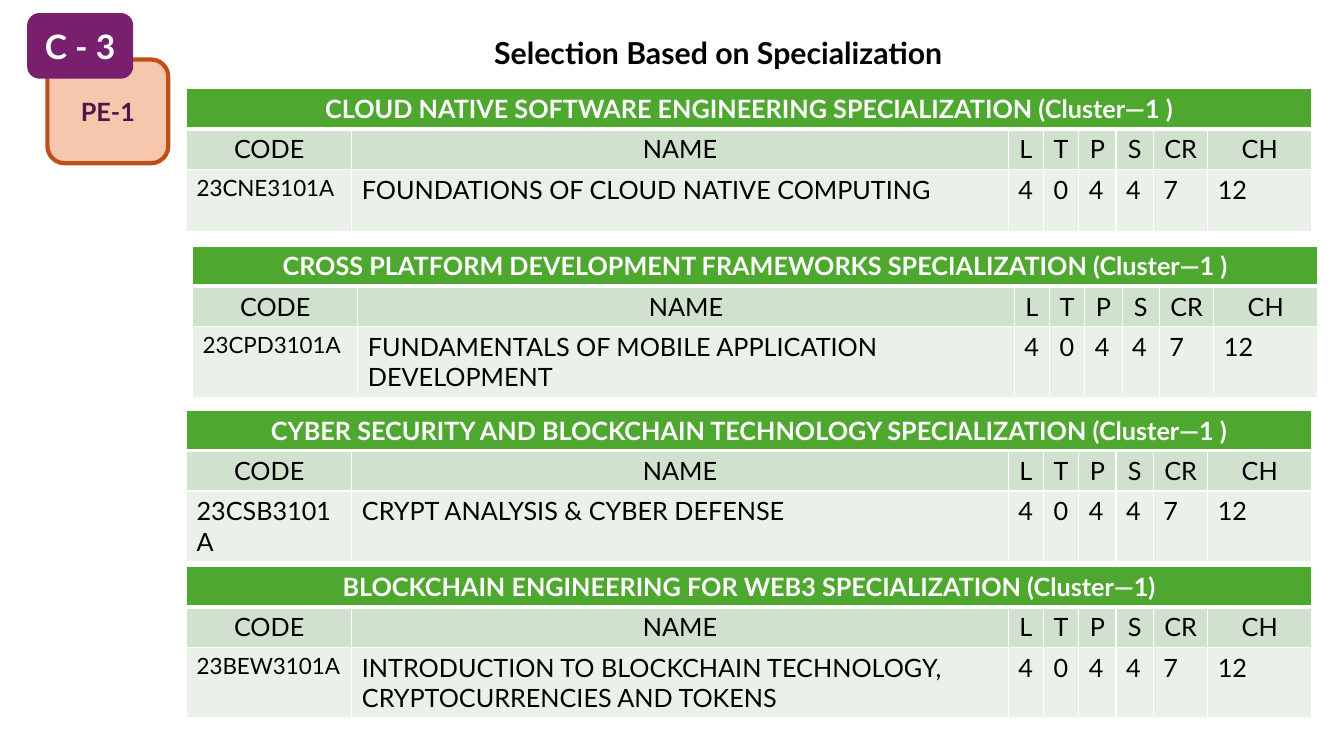
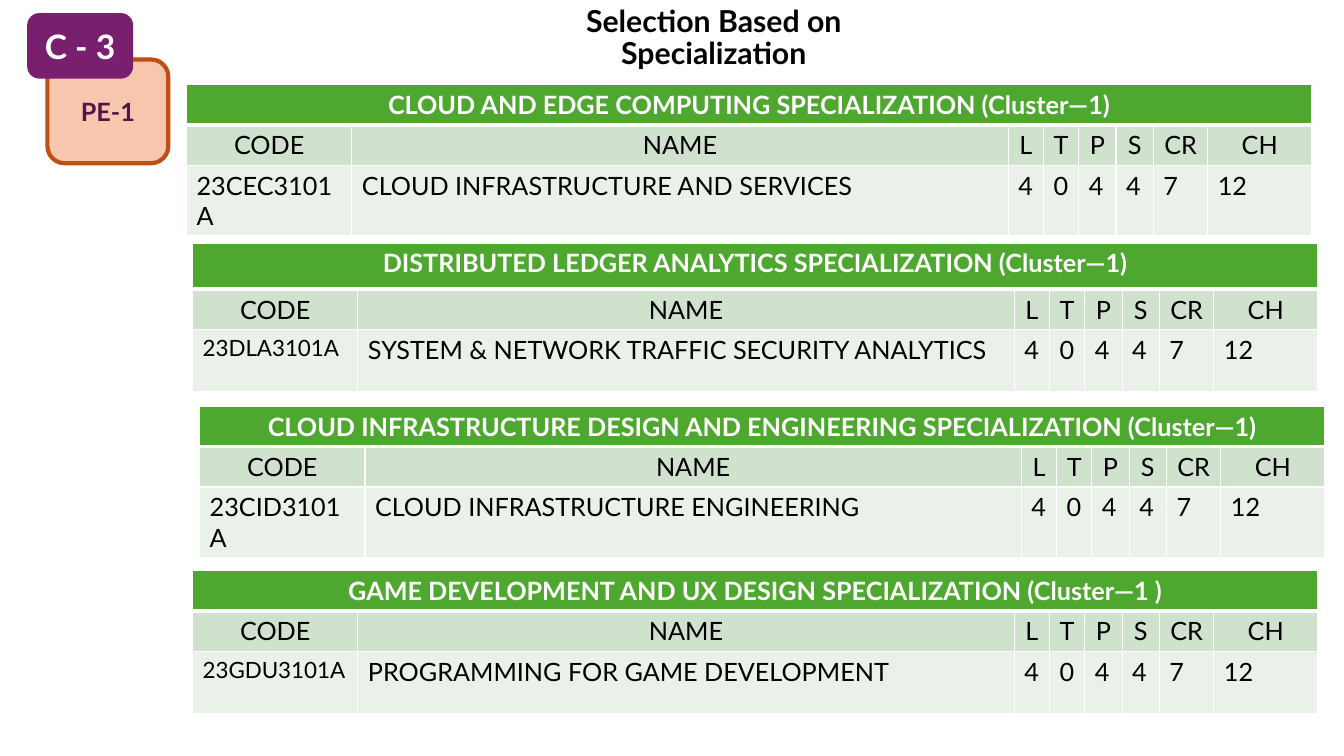
from lxml.etree import SubElement
from pptx import Presentation
from pptx.dml.color import RGBColor
from pptx.enum.shapes import MSO_SHAPE
from pptx.enum.text import MSO_ANCHOR, MSO_AUTO_SIZE, PP_ALIGN
from pptx.oxml.ns import qn
from pptx.util import Inches, Pt

FONT = "Lato"
WHITE, BLACK = "FFFFFF", "000000"
GREEN, SAGE, MIST = "4EA72E", "D0E1CD", "E9F1E8"
TITLE = "Selection Based on Specialization"
BADGES = [  # text, box, fill, line, text colour, size
    ("PE-1", (0.47, 0.59, 1.2, 1.03), "F6C6AD", "C04F15", "501649", 18),
    ("C - 3", (0.29, 0.15, 1.01, 0.61), "78206E", "78206E", WHITE, 24),
]
HEADS = ["CODE", "NAME", "L", "T", "P", "S", "CR", "CH"]
HOURS = ["4", "0", "4", "4", "7", "12"]
COLS = [1.64, 6.51, 0.35, 0.35, 0.37, 0.37, 0.54, 1.03]
ROWS = [0.36, 0.36, 0.62]
SLIDES = [  # title width, then tables: left, top, band height, band, code, code size, name
    (4.69, [
        (1.85, 0.88, 0.36, "CLOUD NATIVE SOFTWARE ENGINEERING SPECIALIZATION (Cluster—1 )",
         "23CNE3101A", 16, "FOUNDATIONS OF CLOUD NATIVE COMPUTING"),
        (1.91, 2.44, 0.36, "CROSS PLATFORM DEVELOPMENT FRAMEWORKS SPECIALIZATION (Cluster—1 )",
         "23CPD3101A", 16, "FUNDAMENTALS OF MOBILE APPLICATION DEVELOPMENT"),
        (1.85, 4.07, 0.36, "CYBER SECURITY AND BLOCKCHAIN TECHNOLOGY SPECIALIZATION (Cluster—1 )",
         "23CSB3101A", 18, "CRYPT ANALYSIS & CYBER DEFENSE"),
        (1.85, 5.62, 0.36, "BLOCKCHAIN ENGINEERING FOR WEB3 SPECIALIZATION (Cluster—1)",
         "23BEW3101A", 16, "INTRODUCTION TO BLOCKCHAIN TECHNOLOGY, CRYPTOCURRENCIES AND TOKENS"),
    ]),
    (4.6, [
        (1.85, 0.84, 0.36, "CLOUD AND EDGE COMPUTING SPECIALIZATION (Cluster—1)",
         "23CEC3101A", 18, "CLOUD INFRASTRUCTURE AND SERVICES"),
        (1.91, 2.41, 0.46, "DISTRIBUTED LEDGER ANALYTICS SPECIALIZATION (Cluster—1)",
         "23DLA3101A", 16, "SYSTEM & NETWORK TRAFFIC SECURITY ANALYTICS"),
        (1.98, 4.03, 0.34, "CLOUD INFRASTRUCTURE DESIGN AND ENGINEERING SPECIALIZATION (Cluster—1)",
         "23CID3101A", 18, "CLOUD INFRASTRUCTURE ENGINEERING"),
        (1.91, 5.66, 0.36, "GAME DEVELOPMENT AND UX DESIGN SPECIALIZATION (Cluster—1 )",
         "23GDU3101A", 16, "PROGRAMMING FOR GAME DEVELOPMENT"),
    ]),
]


def paint(fill, color):
    fill.solid()
    fill.fore_color.rgb = RGBColor.from_string(color)


def write(frame, text, size, color, bold=False, align=PP_ALIGN.CENTER):
    para = frame.paragraphs[0]
    para.alignment = align
    run = para.add_run()
    run.text = text
    look = {"name": FONT, "size": Pt(size), "bold": bold}
    for key, value in look.items():
        setattr(run.font, key, value)
    run.font.color.rgb = RGBColor.from_string(color)
    return para


def place(shape, box):
    for key, value in zip(("left", "top", "width", "height"), box):
        setattr(shape, key, Inches(value))


def edge(cell, **widths):
    """Draw white cell borders; widths override the 1 pt default by side."""
    props = cell._tc.get_or_add_tcPr()
    for side in "LRTB":
        line = SubElement(props, qn(f"a:ln{side}"), w=str(Pt(widths.get(side, 1))))
        fill = SubElement(line, qn("a:solidFill"))
        SubElement(fill, qn("a:srgbClr"), val=WHITE)


def add_title(slide, width):
    title = slide.shapes.title
    place(title, (4.78, 0.15, width, 0.61))
    frame = title.text_frame
    frame.auto_size = MSO_AUTO_SIZE.NONE
    frame.word_wrap = True
    frame.vertical_anchor = MSO_ANCHOR.BOTTOM
    write(frame, TITLE, 21.6, BLACK, True).line_spacing = 0.9


def add_badge(slide, text, box, fill, line, color, size):
    badge = slide.shapes.add_shape(MSO_SHAPE.ROUNDED_RECTANGLE, *map(Inches, box))
    badge.shadow.inherit = False
    paint(badge.fill, fill)
    paint(badge.line.fill, line)
    badge.line.width = Pt(3)
    badge.text_frame.vertical_anchor = MSO_ANCHOR.MIDDLE
    write(badge.text_frame, text, size, color, True)


def add_course(slide, left, top, band, head, code, size, name):
    rows = [band, *ROWS[1:]]
    box = map(Inches, (left, top, sum(COLS), sum(rows)))
    table = slide.shapes.add_table(len(rows), len(COLS), *box).table
    for col, width in zip(table.columns, COLS):
        col.width = Inches(width)
    for row, height in zip(table.rows, rows):
        row.height = Inches(height)

    fills = GREEN, SAGE, MIST
    sides = {"B": 3}, {"T": 3}, {}
    for r, (fill, side) in enumerate(zip(fills, sides)):
        for cell in table.rows[r].cells:
            edge(cell, **side)
            paint(cell.fill, fill)

    first = table.cell(0, 0)
    first.merge(table.cell(0, len(COLS) - 1))
    write(first.text_frame, head, 18, WHITE, True)
    for c, (label, value) in enumerate(zip(HEADS, [code, name, *HOURS])):
        write(table.cell(1, c).text_frame, label, 18, BLACK)
        write(table.cell(2, c).text_frame, value, 18 if c else size, BLACK,
              align=PP_ALIGN.LEFT)


def main():
    deck = Presentation()
    deck.slide_width, deck.slide_height = Inches(13.33), Inches(7.5)
    for width, courses in SLIDES:
        slide = deck.slides.add_slide(deck.slide_layouts[0])
        sub = slide.placeholders[1].element
        sub.getparent().remove(sub)
        add_title(slide, width)
        for badge in BADGES:
            add_badge(slide, *badge)
        for course in courses:
            add_course(slide, *course)
    deck.save("out.pptx")


if __name__ == "__main__":
    main()
